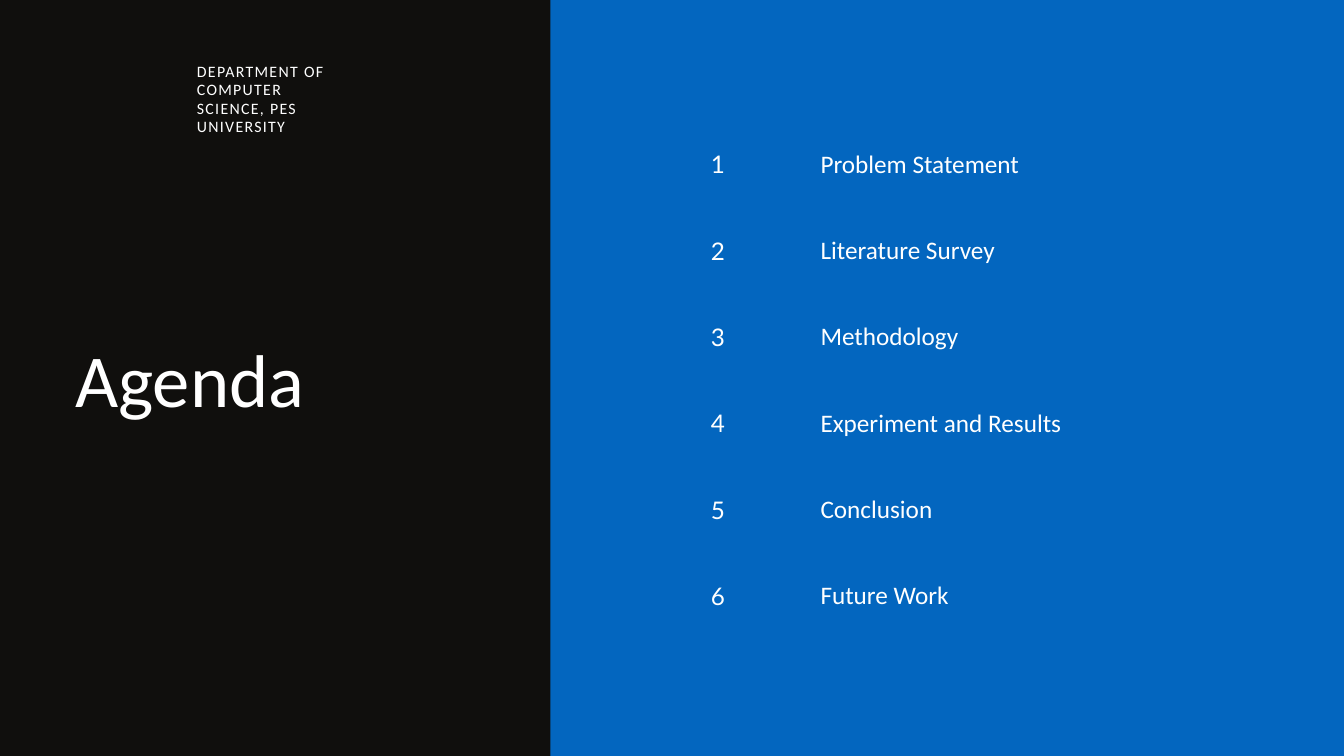
from pptx import Presentation
from pptx.dml.color import RGBColor
from pptx.enum.shapes import MSO_SHAPE
from pptx.enum.text import MSO_ANCHOR, MSO_AUTO_SIZE, PP_ALIGN
from pptx.oxml.ns import qn
from pptx.util import Inches, Pt
from lxml.etree import SubElement

BLUE = RGBColor(0x03, 0x66, 0xBF)
BLACK = RGBColor(0x10, 0x0F, 0x0D)
WHITE = RGBColor(0xFF, 0xFF, 0xFF)

TOPICS = [
    "Problem Statement",
    "Literature Survey",
    "Methodology",
    "Experiment and Results",
    "Conclusion",
    "Future Work",
]


def write_text(text_frame, text, size, line_spacing, font="Calibri",
               align=PP_ALIGN.LEFT, margin=0, anchor=MSO_ANCHOR.TOP, tracking=0):
    text_frame.margin_left = text_frame.margin_right = Inches(margin)
    text_frame.margin_top = text_frame.margin_bottom = Inches(margin)
    text_frame.vertical_anchor = anchor
    paragraph = text_frame.paragraphs[0]
    paragraph.alignment = align
    paragraph.line_spacing = Pt(line_spacing)
    paragraph.space_before = Pt(0)
    run = paragraph.add_run()
    run.text = text
    run.font.name = font
    run.font.size = Pt(size)
    run.font.color.rgb = WHITE
    if tracking:
        run.font._element.set("spc", str(round(tracking * 100)))


def write_cell(cell, text, **text_format):
    properties = cell._tc.get_or_add_tcPr()
    for side in ("a:lnL", "a:lnR", "a:lnT", "a:lnB"):
        border = SubElement(properties, qn(side), w="0")
        SubElement(border, qn("a:noFill"))
    cell.fill.background()
    margin = Inches(0.21)
    cell.margin_left = cell.margin_right = margin
    cell.margin_top = cell.margin_bottom = margin
    cell.vertical_anchor = MSO_ANCHOR.MIDDLE
    write_text(cell.text_frame, text, margin=0.21, anchor=MSO_ANCHOR.MIDDLE, **text_format)


presentation = Presentation()
presentation.slide_width = Inches(20)
presentation.slide_height = Inches(11.25)
slide = presentation.slides.add_slide(presentation.slide_layouts[5])
slide.background.fill.solid()
slide.background.fill.fore_color.rgb = BLUE

panel = slide.shapes.add_shape(MSO_SHAPE.RECTANGLE, 0, 0, Inches(8.19), Inches(11.25))
panel.shadow.inherit = False
panel.fill.solid()
panel.fill.fore_color.rgb = BLACK
panel.line.fill.background()

title = slide.shapes.title
title.left, title.top = Inches(1.12), Inches(4.96)
title.width, title.height = Inches(5.83), Inches(1.33)
title.text_frame.auto_size = MSO_AUTO_SIZE.NONE
write_text(title.text_frame, "Agenda", size=80, line_spacing=96)
panel._element.addnext(title._element)

department = slide.shapes.add_textbox(Inches(2.93), Inches(0.93), Inches(2.32), Inches(1.08))
department.text_frame.word_wrap = True
write_text(department.text_frame, "DEPARTMENT OF COMPUTER SCIENCE, PES UNIVERSITY",
           size=17, line_spacing=19.6, tracking=1.4)

agenda = slide.shapes.add_table(
    len(TOPICS), 2, Inches(9.37), Inches(1.77), Inches(9.5), Inches(7.71)).table
agenda.first_row = False
agenda.horz_banding = False
agenda.columns[0].width = Inches(2.63)
agenda.columns[1].width = Inches(6.87)
for number, topic in enumerate(TOPICS, start=1):
    write_cell(agenda.cell(number - 1, 0), str(number), size=26, line_spacing=36.4,
               font="Lato", align=PP_ALIGN.CENTER)
    write_cell(agenda.cell(number - 1, 1), topic, size=27, line_spacing=37.8)

presentation.save("out.pptx")
